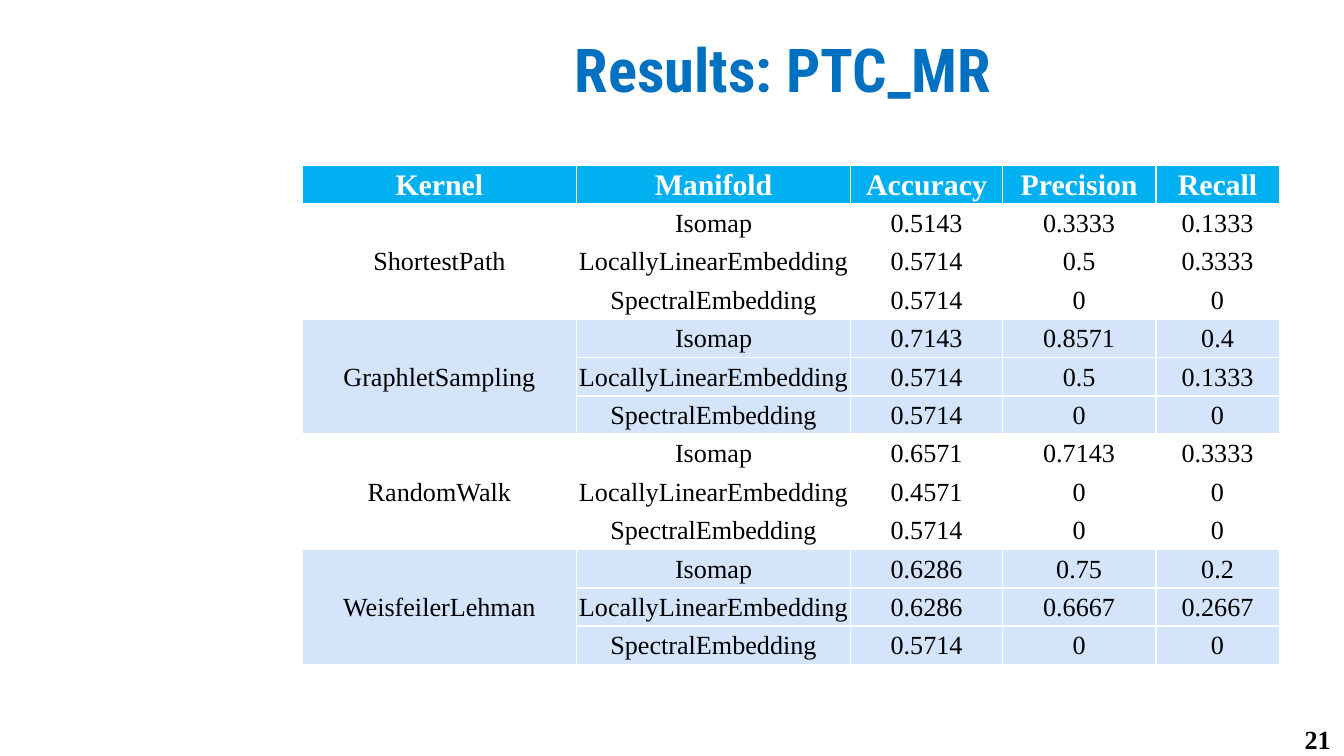
import pptx
import pptx.dml.color
import pptx.enum.text
import pptx.oxml
import pptx.oxml.ns
import pptx.util

Inches = pptx.util.Inches
ALIGN = pptx.enum.text.PP_ALIGN
ANCHOR = pptx.enum.text.MSO_ANCHOR

HEADINGS = ["Kernel", "Manifold", "Accuracy", "Precision", "Recall"]
MANIFOLDS = ["Isomap", "LocallyLinearEmbedding", "SpectralEmbedding"]
# Accuracy, precision and recall of each manifold, by kernel
SCORES = {
    "ShortestPath": [("0.5143", "0.3333", "0.1333"), ("0.5714", "0.5", "0.3333"), ("0.5714", "0", "0")],
    "GraphletSampling": [("0.7143", "0.8571", "0.4"), ("0.5714", "0.5", "0.1333"), ("0.5714", "0", "0")],
    "RandomWalk": [("0.6571", "0.7143", "0.3333"), ("0.4571", "0", "0"), ("0.5714", "0", "0")],
    "WeisfeilerLehman": [("0.6286", "0.75", "0.2"), ("0.6286", "0.6667", "0.2667"), ("0.5714", "0", "0")],
}
COLUMN_WIDTHS = [2.04, 2.04, 1.13, 1.14, 0.92]


def color(value):
    return pptx.dml.color.RGBColor.from_string(value)


def write(frame, text, size=14, font="Times New Roman", ink="000000", bold=False, align=ALIGN.CENTER):
    paragraph = frame.paragraphs[0]
    paragraph.alignment = align
    run = paragraph.add_run()
    run.text = text
    run.font.size = pptx.util.Pt(size)
    run.font.name = font
    run.font.bold = bold
    run.font.color.rgb = color(ink)


class ResultsSlide:
    heading_fill = "00B0F0"
    band_fill = "D4E4FB"
    border = "FFFFFF"

    def __init__(self, slide):
        self.slide = slide

    def text(self, box, text, anchor=ANCHOR.TOP, inset=0.05, **style):
        frame = self.slide.shapes.add_textbox(*map(Inches, box)).text_frame
        frame.word_wrap = True
        frame.vertical_anchor = anchor
        frame.margin_top = frame.margin_bottom = Inches(inset)
        write(frame, text, **style)

    def outline(self, cell):
        properties = cell._tc.get_or_add_tcPr()
        for position, side in enumerate(["lnL", "lnR", "lnT", "lnB"]):
            line = pptx.oxml.parse_xml(
                f'<a:{side} {pptx.oxml.ns.nsdecls("a")} w="12700"><a:solidFill>'
                f'<a:srgbClr val="{self.border}"/></a:solidFill></a:{side}>')
            properties.insert(position, line)

    def cell(self, cell, text, fill=None, **style):
        cell.margin_left = cell.margin_right = cell.margin_top = Inches(0.01)
        cell.margin_bottom = 0
        cell.vertical_anchor = ANCHOR.MIDDLE
        if fill:
            cell.fill.solid()
            cell.fill.fore_color.rgb = color(fill)
        else:
            cell.fill.background()
        self.outline(cell)
        if text:
            write(cell.text_frame, text, **style)

    def table(self, box, scores):
        row_count = 1 + len(scores) * len(MANIFOLDS)
        table = self.slide.shapes.add_table(row_count, len(HEADINGS), *map(Inches, box)).table
        table.first_row = table.horz_banding = False
        for column, width in zip(table.columns, COLUMN_WIDTHS):
            column.width = Inches(width)

        # Heading row
        for column, heading in enumerate(HEADINGS):
            self.cell(table.cell(0, column), heading, self.heading_fill, size=16, ink="FFFFFF", bold=True)

        # One band of rows per kernel, every second one tinted
        for band, (kernel, results) in enumerate(scores.items()):
            top = 1 + band * len(MANIFOLDS)
            fill = self.band_fill if band % 2 else None
            for offset, (manifold, values) in enumerate(zip(MANIFOLDS, results)):
                label = "" if offset else kernel
                for column, text in enumerate([label, manifold, *values]):
                    self.cell(table.cell(top + offset, column), text, fill)
            table.cell(top, 0).merge(table.cell(top + len(MANIFOLDS) - 1, 0))


def main():
    deck = pptx.Presentation()
    # Widescreen page, 16 to 9
    deck.slide_width = Inches(10)
    deck.slide_height = Inches(10 * 9 / 16)
    results = ResultsSlide(deck.slides.add_slide(deck.slide_layouts[6]))

    # Title
    results.text((2.39, 0.11, 6.87, 0.79), "Results: PTC_MR", anchor=ANCHOR.MIDDLE, inset=0.1,
                 size=32.4, font="Roboto Condensed", ink="0070C0", bold=True)
    # Page number
    results.text((7.67, 5.33, 2.33, 0.3), "21", bold=True, align=ALIGN.RIGHT)
    # Scores
    results.table((2.25, 1.23, 7.27, 3.72), SCORES)

    deck.save("out.pptx")


if __name__ == "__main__":
    main()
